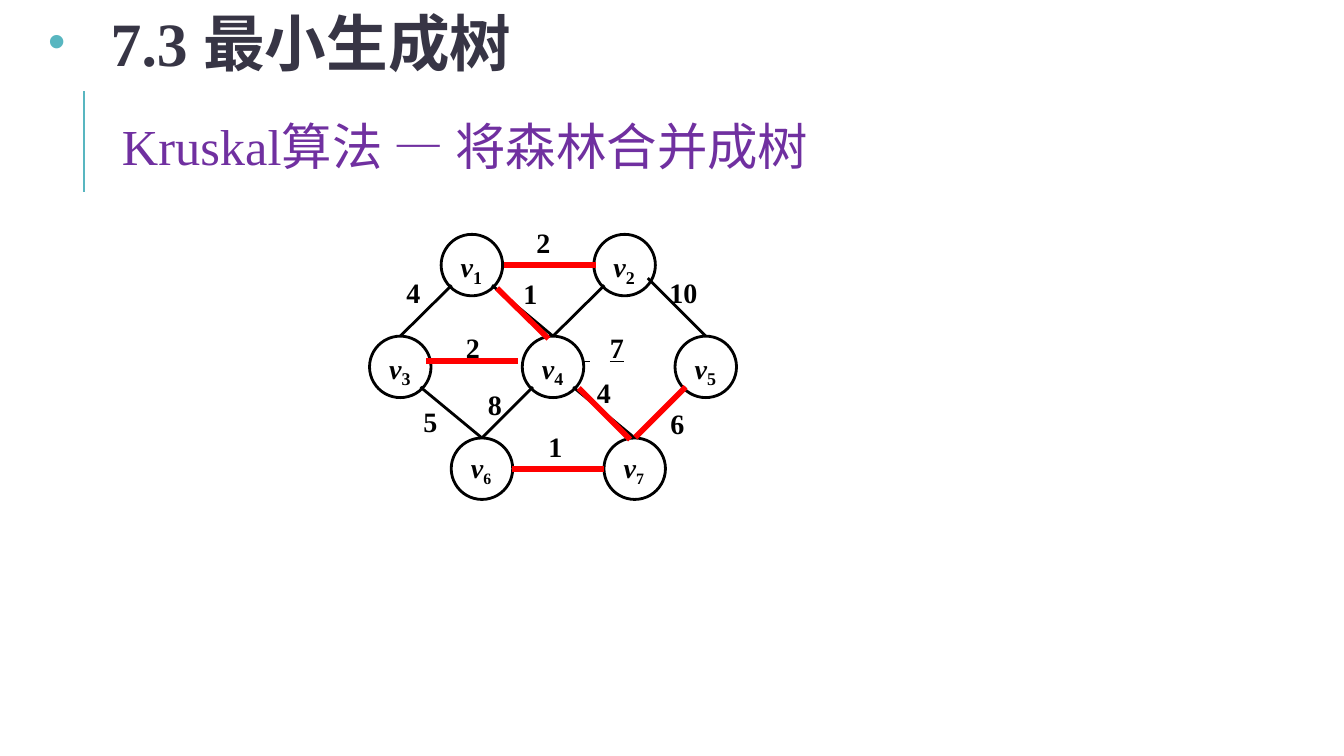
from lxml.etree import SubElement
from pptx import Presentation
from pptx.dml.color import RGBColor
from pptx.enum.shapes import MSO_CONNECTOR, MSO_SHAPE
from pptx.enum.text import MSO_ANCHOR
from pptx.oxml.ns import qn
from pptx.util import Inches, Pt

# Content
COLORS = {"dark": "373545", "teal": "58B6C0", "purple": "7030A0",
          "black": "000000", "red": "FF0000"}
FONT = "Times New Roman"
TITLE = "7.3 最小生成树"
TOPIC = "Kruskal算法 — 将森林合并成树"
SIZE = 0.61  # node diameter
REACH = 0.2  # offset from a node's centre to its diagonal edge point

# Node centres: each row is evenly spaced
STEP = 1.515
ROWS = [(4.68, 2.63, [1, 2]), (3.97, 3.64, [3, 4, 5]), (4.78, 4.65, [6, 7])]
SPOTS = {num: (left + i * STEP, mid)
         for left, mid, nums in ROWS for i, num in enumerate(nums)}

# Sloping edges: upper node, lower node, start offset from the upper centre
SLOPES = [
    (1, 3, -REACH, REACH), (5, 7, -REACH, REACH), (1, 4, REACH, REACH),
    (2, 5, 0.23, 0.13), (3, 6, REACH, REACH), (4, 7, REACH, REACH),
    (2, 4, -REACH, REACH), (4, 6, -REACH, REACH),
]
LEVELS = [(1, 2), (6, 7)]

# Chosen tree edges: x1, y1, x2, y2
TREE = [
    (4.93, 2.86, 5.44, 3.36), (5.08, 4.65, 5.99, 4.65),
    (4.23, 3.58, 5.14, 3.58), (5.0, 2.63, 5.91, 2.63),
    (5.74, 3.85, 6.25, 4.36), (6.8, 3.84, 6.3, 4.34),
]

# Weights: text, left, top
WEIGHTS = [
    ("4", 4.02, 2.72), ("2", 4.61, 3.27), ("10", 6.63, 2.72),
    ("5", 4.19, 4.0), ("8", 4.83, 3.83), ("4", 5.91, 3.72),
    ("6", 6.64, 4.02), ("1", 5.43, 4.25), ("2", 5.31, 2.23),
    ("1", 5.18, 2.73),
]

deck = Presentation()
deck.slide_width, deck.slide_height = Inches(13.33), Inches(7.5)
slide = deck.slides.add_slide(deck.slide_layouts[6])


def paint(name):
    return RGBColor.from_string(COLORS[name])


def write(text, left, top, width=0.32, height=0.36, size=20, color="black",
          bold=True, italic=False, under=False, pad=(0, 0.01), bullet=False,
          tab=None, sub=None, sub_size=22, middle=False):
    box = slide.shapes.add_textbox(*map(Inches, (left, top, width, height)))
    frame = box.text_frame
    frame.word_wrap = True
    frame.margin_left = frame.margin_right = Inches(pad[0])
    frame.margin_top, frame.margin_bottom = Inches(pad[1]), 0
    if middle:
        frame.vertical_anchor = MSO_ANCHOR.MIDDLE
    para = frame.paragraphs[0]
    props = para._p.get_or_add_pPr()
    props.set("marL", str(Inches(0.62 if bullet else 0.01)))
    if bullet:
        props.set("indent", str(-Inches(0.62)))
        tint = SubElement(props, qn("a:buClr"))
        SubElement(tint, qn("a:srgbClr"), val=COLORS["teal"])
        SubElement(props, qn("a:buSzPct"), val="80000")
        SubElement(props, qn("a:buFont"), typeface="Arial")
        SubElement(props, qn("a:buChar"), char="•")
    if tab:
        stops = SubElement(props, qn("a:tabLst"))
        SubElement(stops, qn("a:tab"), pos=str(Inches(tab)), algn="l")
    parts = [(text, size, italic, None)]
    if sub:
        parts.append((sub, sub_size, False, "-21000"))
    for words, points, slant, shift in parts:
        run = para.add_run()
        run.text = words
        font = run.font
        font.name, font.size = FONT, Pt(points)
        font.bold, font.italic, font.underline = bold, slant, under
        font.color.rgb = paint(color)
        if shift:
            run._r.get_or_add_rPr().set("baseline", shift)


def link(x1, y1, x2, y2, color="black", weight=2):
    line = slide.shapes.add_connector(
        MSO_CONNECTOR.STRAIGHT, *map(Inches, (x1, y1, x2, y2)))
    line.line.color.rgb = paint(color)
    line.line.width = Pt(weight)
    SubElement(line._element.spPr, qn("a:effectLst"))
    return line


# Headings
link(0.83, 1.9, 0.83, 0.9, color="teal", weight=1.5)
write(TITLE, 0.38, 0, width=11.06, height=0.92, size=44, color="dark",
      pad=(0.1, 0.05), bullet=True)
write(TOPIC, 1.2, 1.13, width=10.88, height=0.62, size=36, color="purple",
      bold=False, middle=True)

# Nodes
nodes = {}
for num, (x, y) in SPOTS.items():
    node = slide.shapes.add_shape(
        MSO_SHAPE.OVAL,
        *map(Inches, (x - SIZE / 2, y - SIZE / 2, SIZE, SIZE)))
    node.shadow.inherit = False
    node.fill.background()
    node.line.color.rgb = paint("black")
    node.line.width = Pt(2)
    nodes[num] = node
    write("v", x - 0.12, y - 0.19, italic=True, sub=str(num),
          sub_size=22 if num < 6 else 19.5)

# Black edges
for high, low, dx, dy in SLOPES:
    x, y = SPOTS[high]
    end_x, end_y = SPOTS[low]
    edge = link(x + dx, y + dy, end_x, end_y - SIZE / 2)
    edge.end_connect(nodes[low], 0)
for first, last in LEVELS:
    x, y = SPOTS[first]
    link(x + SIZE / 2, y, SPOTS[last][0] - SIZE / 2, y)

# Weights
for text, left, top in WEIGHTS:
    write(text, left, top)
write(" \t7", 5.77, 3.27, width=1.03, under=True, tab=0.27)

# Red tree edges
for ends in TREE:
    link(*ends, color="red", weight=4)

deck.save("out.pptx")
